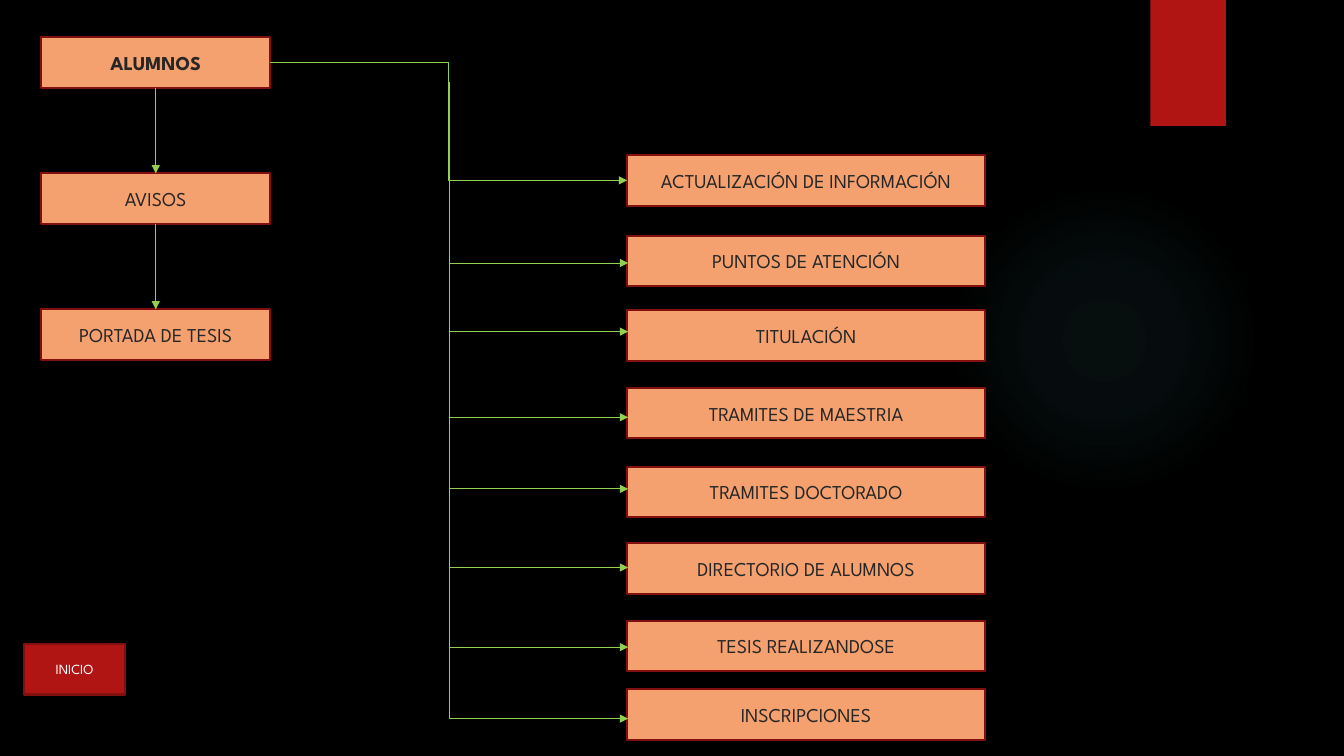
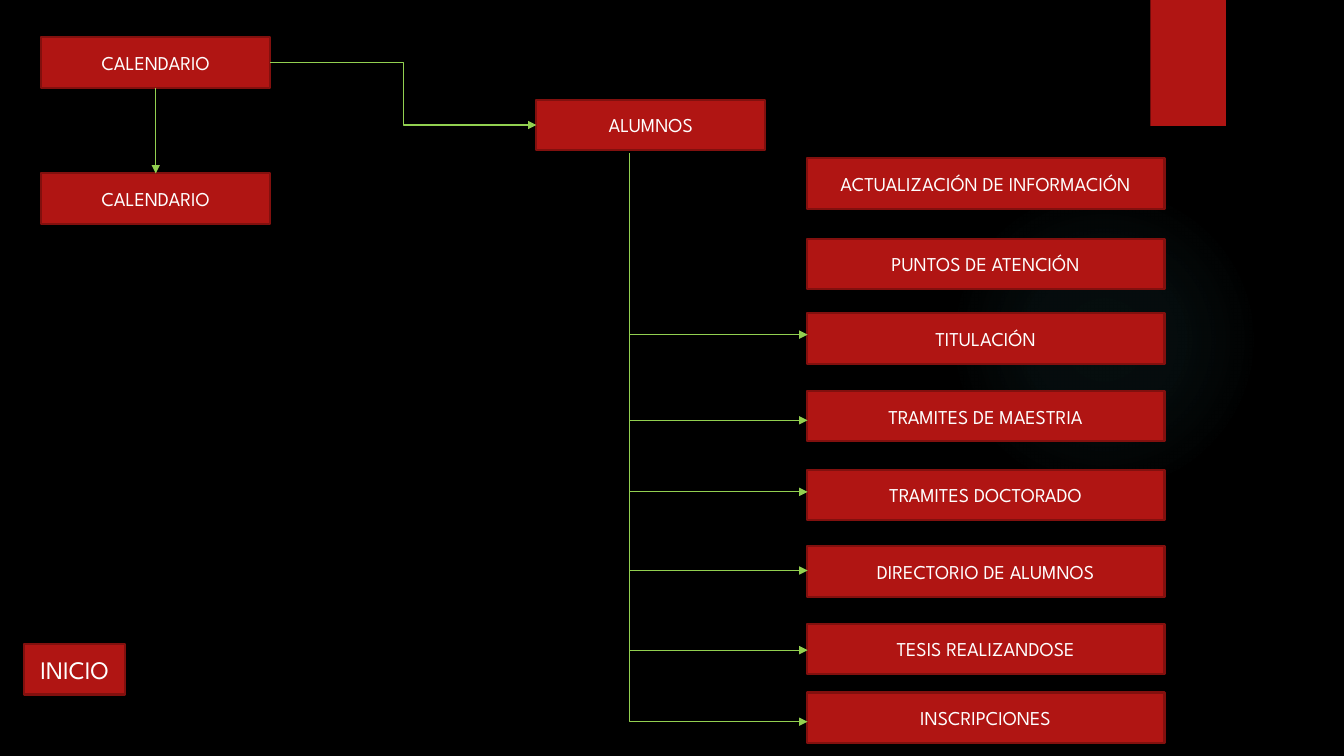
from lxml.etree import SubElement
from pptx import Presentation
from pptx.dml.color import RGBColor
from pptx.enum.shapes import MSO_CONNECTOR as Link, MSO_SHAPE as Form
from pptx.enum.text import MSO_ANCHOR as Anchor, PP_ALIGN as Align
from pptx.oxml import parse_xml
from pptx.oxml.ns import nsdecls, qn
from pptx.util import Inches, Pt

FONT = "League Spartan"
BLACK, WHITE, INK = "000000", "FFFFFF", "262626"
RED, DARK_RED, PEACH, GREEN, TEAL = "B01513", "82100E", "F4A16F", "92D050", "50B9C1"

BOX_H = 0.5
SIDE_X, SIDE_Y, SIDE_W, SIDE_PITCH = 0.41, 0.37, 2.27, 1.35
MENU_W = 3.55
TRUNK_GAP, BRANCH_W, BRANCH_H = 1.76, 1.77, 1.8
GLOW_STOPS = [(0, 7), (36, 6), (69, 0)]

MENU = [
    ("ACTUALIZACIÓN DE INFORMACIÓN", 1.54, None),
    ("PUNTOS DE ATENCIÓN", 2.34, 2.61),
    ("TITULACIÓN", 3.08, 3.29),
    ("TRAMITES DE MAESTRIA", 3.85, 4.14),
    ("TRAMITES DOCTORADO", 4.63, 4.85),
    ("DIRECTORIO DE ALUMNOS", 5.39, 5.63),
    ("TESIS REALIZANDOSE", 6.16, 6.42),
    ("INSCRIPCIONES", 6.84, 7.13),
]

PAGES = [
    dict(side=["ALUMNOS", "AVISOS", "PORTADA DE TESIS"], bold_head=True,
         fill=PEACH, color=INK, menu_x=6.22, menu_drop=0, first_branch=1,
         hub=None, home_size=10),
    dict(side=["CALENDARIO", "CALENDARIO"], bold_head=False,
         fill=RED, color=WHITE, menu_x=8, menu_drop=0.03, first_branch=2,
         hub=("ALUMNOS", 5.32, 0.99), home_size=18),
]


def rgb(value):
    return RGBColor.from_string(value)


def add_form(slide, form, x, y, w, h, fill, line=None):
    shape = slide.shapes.add_shape(form, Inches(x), Inches(y), Inches(w), Inches(h))
    shape.shadow.inherit = False
    shape.fill.solid()
    shape.fill.fore_color.rgb = rgb(fill)
    if line:
        shape.line.color.rgb = rgb(line)
        shape.line.width = Pt(1.5)
    else:
        shape.line.fill.background()
    return shape


def write(shape, text, *, size=14, color=WHITE, bold=False):
    frame = shape.text_frame
    frame.word_wrap = True
    frame.vertical_anchor = Anchor.MIDDLE
    paragraph = frame.paragraphs[0]
    paragraph.alignment = Align.CENTER
    run = paragraph.add_run()
    run.text = text
    run.font.name = FONT
    run.font.size = Pt(size)
    run.font.bold = bold
    run.font.color.rgb = rgb(color)


def add_box(slide, text, x, y, w, fill=RED, **text_format):
    box = add_form(slide, Form.RECTANGLE, x, y, w, BOX_H, fill, DARK_RED)
    write(box, text, **text_format)
    return box


def add_arrow(slide, kind, x1, y1, x2, y2):
    arrow = slide.shapes.add_connector(kind, Inches(x1), Inches(y1), Inches(x2), Inches(y2))
    arrow.line.color.rgb = rgb(GREEN)
    arrow.line.width = Pt(0.75)
    properties = arrow._element.spPr
    SubElement(properties.find(qn("a:ln")), qn("a:tailEnd"), type="triangle")
    SubElement(properties, qn("a:effectLst"))
    return arrow


def join(slide, kind, start, start_side, end, end_side):
    arrow = add_arrow(slide, kind, 0, 0, 1, 1)
    arrow.begin_connect(start, start_side)
    arrow.end_connect(end, end_side)


def add_branch(slide, trunk_x, end_y):
    center_x, center_y = trunk_x + BRANCH_W / 2, end_y - BRANCH_H / 2
    x, y = center_x - BRANCH_H / 2, center_y - BRANCH_W / 2
    arrow = add_arrow(slide, Link.ELBOW, x, y, x + BRANCH_H, y + BRANCH_W)
    properties = arrow._element.spPr
    frame = properties.find(qn("a:xfrm"))
    frame.set("rot", str(270 * 60000))
    frame.set("flipH", "1")
    properties.find(qn("a:prstGeom")).set("prst", "bentConnector2")


def add_backdrop(slide):
    slide.background.fill.solid()
    slide.background.fill.fore_color.rgb = rgb(BLACK)
    glow = add_form(slide, Form.OVAL, 9.41, 1.83, 3.08, 3.08, TEAL)
    stops = "".join(
        f'<a:gs pos="{pos * 1000}"><a:srgbClr val="{TEAL}">'
        f'<a:alpha val="{alpha * 1000}"/></a:srgbClr></a:gs>'
        for pos, alpha in GLOW_STOPS)
    gradient = parse_xml(
        f'<a:gradFill {nsdecls("a")} rotWithShape="1"><a:gsLst>{stops}</a:gsLst>'
        '<a:path path="circle"><a:fillToRect l="50000" t="50000" r="50000" b="50000"/>'
        '</a:path></a:gradFill>')
    properties = glow._element.spPr
    properties.replace(properties.find(qn("a:solidFill")), gradient)
    add_form(slide, Form.RECTANGLE, 11.41, 0, 0.75, 1.25, RED)


def add_page(deck, page):
    slide = deck.slides.add_slide(deck.slide_layouts[6])
    add_backdrop(slide)
    look = dict(fill=page["fill"], color=page["color"])
    side = [
        add_box(slide, text, SIDE_X, SIDE_Y + row * SIDE_PITCH, SIDE_W,
                bold=page["bold_head"] and row == 0, **look)
        for row, text in enumerate(page["side"])]
    menu_x, drop = page["menu_x"], page["menu_drop"]
    menu = [add_box(slide, text, menu_x, top + drop, MENU_W, **look)
            for text, top, _ in MENU]
    target = menu[0]
    if page["hub"]:
        text, x, y = page["hub"]
        target = add_box(slide, text, x, y, SIDE_W, **look)

    join(slide, Link.ELBOW, side[0], 3, target, 1)
    for upper, lower in zip(side, side[1:]):
        join(slide, Link.STRAIGHT, upper, 2, lower, 0)
    for _, _, end_y in MENU[page["first_branch"]:]:
        add_branch(slide, menu_x - TRUNK_GAP, end_y + drop)
    add_box(slide, "INICIO", 0.24, 6.39, 1, size=page["home_size"])


def main():
    """Build the two site-map slides."""
    deck = Presentation()
    deck.slide_width, deck.slide_height = Inches(13.33), Inches(7.5)
    for page in PAGES:
        add_page(deck, page)
    deck.save("out.pptx")


if __name__ == "__main__":
    main()
